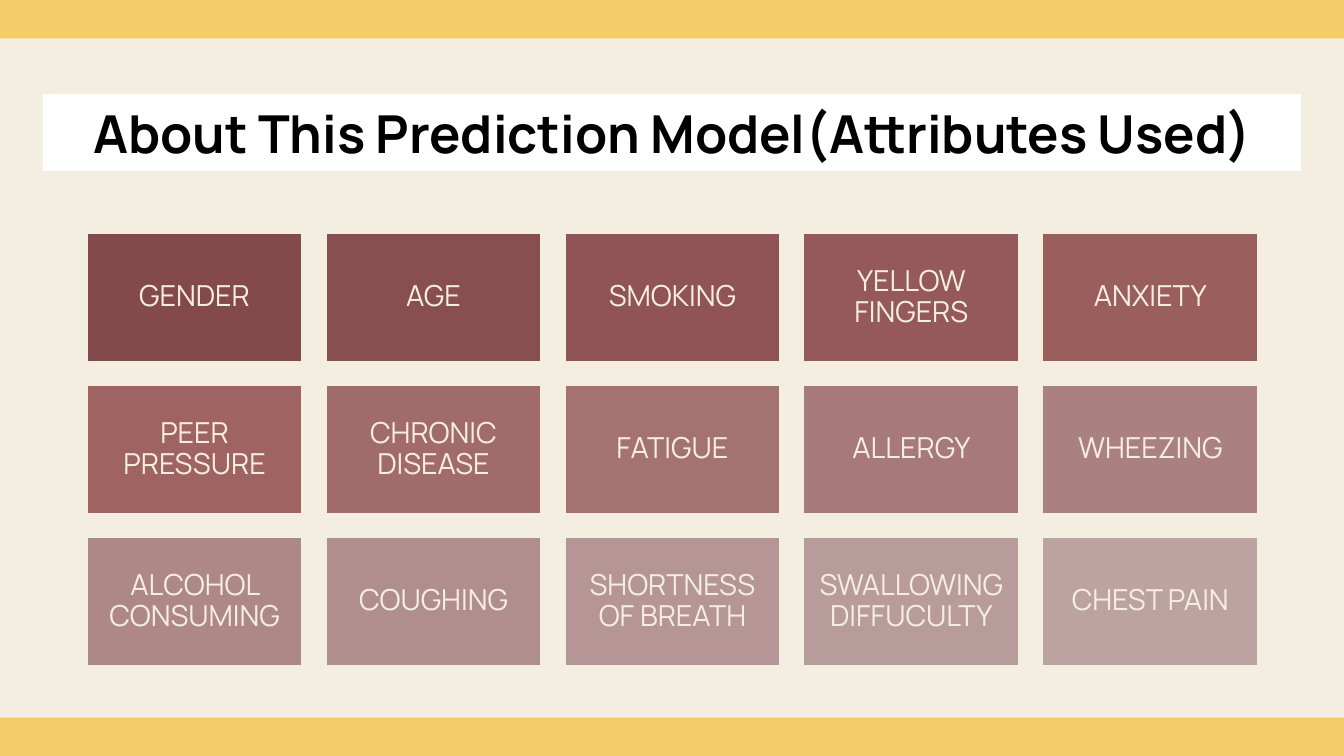
from pptx import Presentation
from pptx.dml.color import RGBColor
from pptx.enum import shapes, text
from pptx.util import Pt

CREAM = RGBColor(0xF4, 0xEE, 0xE1)
GOLD = RGBColor(0xF4, 0xCD, 0x69)
WHITE = RGBColor(0xFF, 0xFF, 0xFF)
BLACK = RGBColor(0x00, 0x00, 0x00)
SHADES = [RGBColor.from_string(code) for code in (
    "844A4A", "894F4E", "8F5453", "945958", "9A5E5D",
    "9F6362", "A16B6A", "A47271", "A77979", "AB8080",
    "AE8787", "B18E8E", "B59595", "B89C9C", "BCA3A2")]
TRAITS = (
    "GENDER", "AGE", "SMOKING", "YELLOW FINGERS", "ANXIETY",
    "PEER PRESSURE", "CHRONIC DISEASE", "FATIGUE", "ALLERGY", "WHEEZING",
    "ALCOHOL CONSUMING", "COUGHING", "SHORTNESS OF BREATH",
    "SWALLOWING DIFFUCULTY", "CHEST PAIN")
WIDTH, HEIGHT, BAND = 720, 405, 20.6
COLS = 5


def add_box(slide, left, top, width, height, fill):
    """Add a plain filled rectangle without outline."""
    box = slide.shapes.add_shape(
        shapes.MSO_SHAPE.RECTANGLE, Pt(left), Pt(top), Pt(width), Pt(height))
    box.shadow.inherit = False
    box.fill.solid()
    box.fill.fore_color.rgb = fill
    box.line.fill.background()
    return box


def set_text(box, words, size, color, bold=False):
    """Write one centred paragraph in a box and return it."""
    frame = box.text_frame
    frame.word_wrap = True
    frame.vertical_anchor = text.MSO_ANCHOR.MIDDLE
    para = frame.paragraphs[0]
    para.text = words
    para.alignment = text.PP_ALIGN.CENTER
    font = para.font
    font.name, font.size, font.bold = "Manrope", Pt(size), bold
    font.color.rgb = color
    return para


def add_title(slide, words):
    """Add the white title bar."""
    box = add_box(slide, 23, 50.4, 674, 41.2, WHITE)
    set_text(box, words, 28, BLACK, bold=True)
    box.text_frame.auto_size = text.MSO_AUTO_SIZE.SHAPE_TO_FIT_TEXT


def add_tile(slide, index, words, fill):
    """Add one attribute tile at its place in the grid."""
    row, col = divmod(index, COLS)
    box = add_box(slide, 46 + 128 * col, 124.5 + 81.4 * row, 116.5, 69.9, fill)
    box.line.color.rgb = CREAM
    box.line.width = Pt(2)
    frame = box.text_frame
    frame.margin_left = frame.margin_right = Pt(4.7)
    frame.margin_top = frame.margin_bottom = Pt(4.7)
    set_text(box, words, 15.5, CREAM).line_spacing = 0.9


def main():
    """Build and save the slide."""
    deck = Presentation()
    deck.slide_width, deck.slide_height = Pt(WIDTH), Pt(HEIGHT)
    slide = deck.slides.add_slide(deck.slide_layouts[6])
    slide.background.fill.solid()
    slide.background.fill.fore_color.rgb = CREAM
    for top in (0, HEIGHT - BAND):
        add_box(slide, 0, top, WIDTH, BAND, GOLD)
    for index, (words, fill) in enumerate(zip(TRAITS, SHADES)):
        add_tile(slide, index, words, fill)
    add_title(slide, "About This Prediction Model(Attributes Used)")
    deck.save("out.pptx")


if __name__ == "__main__":
    main()
